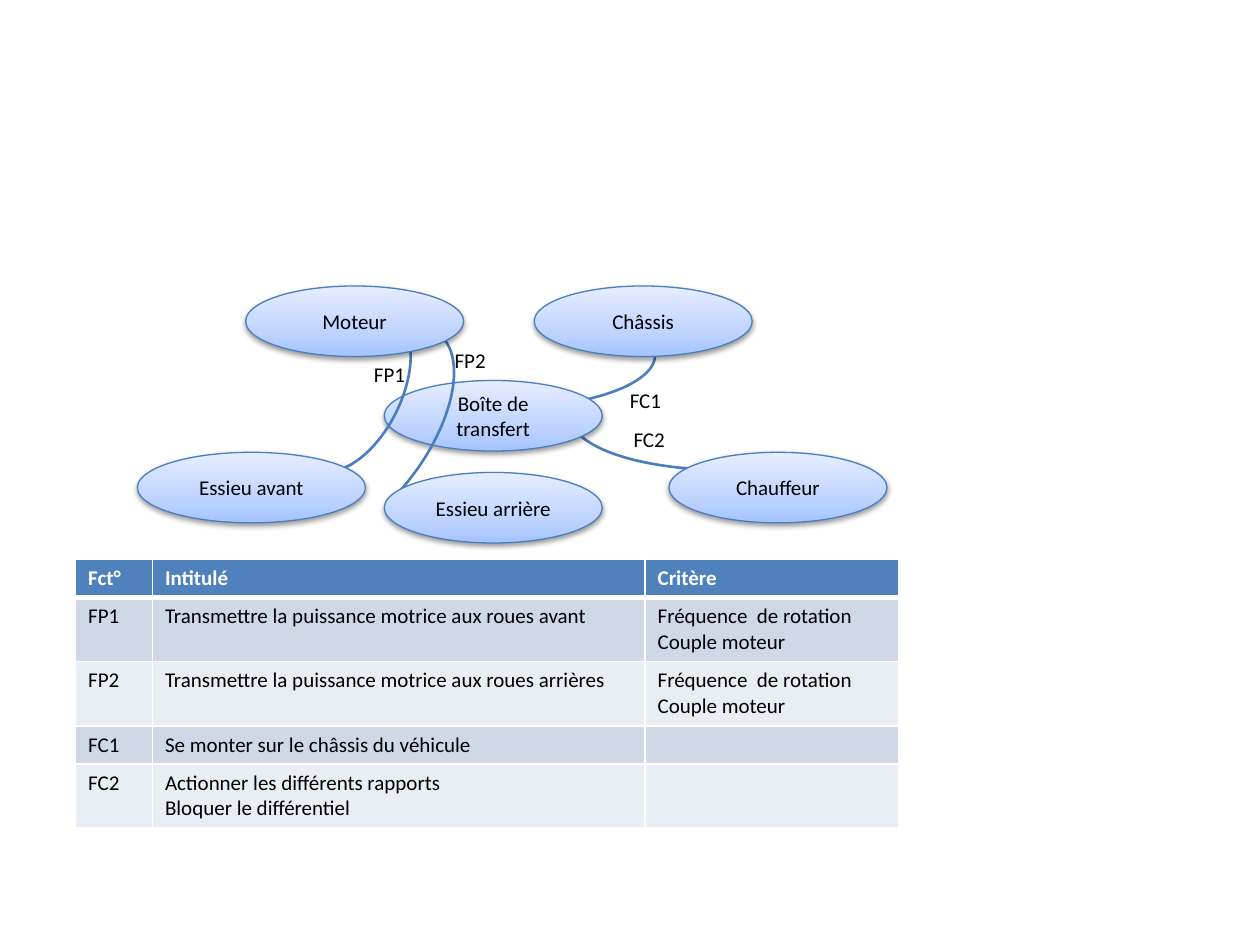
from lxml import etree
from pptx import Presentation
from pptx.dml.color import RGBColor
from pptx.enum.shapes import MSO_SHAPE
from pptx.enum.text import MSO_ANCHOR, MSO_AUTO_SIZE, PP_ALIGN
from pptx.oxml import parse_xml
from pptx.util import Inches, Pt

NAMESPACE = 'xmlns:a="http://schemas.openxmlformats.org/drawingml/2006/main"'
GRADIENT = f"""<a:gradFill {NAMESPACE} rotWithShape="1"><a:gsLst>
<a:gs pos="0"><a:srgbClr val="A4C4FF"/></a:gs>
<a:gs pos="35000"><a:srgbClr val="BFD4FF"/></a:gs>
<a:gs pos="100000"><a:srgbClr val="E6EEFF"/></a:gs>
</a:gsLst><a:lin ang="16200000" scaled="1"/></a:gradFill>"""
SHADOW = f"""<a:effectLst {NAMESPACE}>
<a:outerShdw blurRad="{Pt(3.1)}" dist="{Pt(1.6)}" dir="5400000" rotWithShape="0">
<a:srgbClr val="000000"><a:alpha val="38000"/></a:srgbClr></a:outerShdw></a:effectLst>"""
LINE_COLOR = "4B7EBC"


def color(hex_string):
    return RGBColor.from_string(hex_string)


def write(text_frame, text, text_color="000000", bold=False, alignment=PP_ALIGN.LEFT):
    text_frame.text = text
    for paragraph in text_frame.paragraphs:
        paragraph.alignment = alignment
        paragraph.font.name = "Calibri"
        paragraph.font.size = Pt(12)
        paragraph.font.bold = bold
        paragraph.font.color.rgb = color(text_color)


presentation = Presentation()
presentation.slide_width = Inches(10)
presentation.slide_height = Inches(7.5)
slide = presentation.slides.add_slide(presentation.slide_layouts[6])

# Table of functions
rows = [
    ("Fct°", "Intitulé", "Critère"),
    ("FP1", "Transmettre la puissance motrice aux roues avant",
     "Fréquence  de rotation\nCouple moteur"),
    ("FP2", "Transmettre la puissance motrice aux roues arrières",
     "Fréquence  de rotation\nCouple moteur"),
    ("FC1", "Se monter sur le châssis du véhicule", ""),
    ("FC2", "Actionner les différents rapports\nBloquer le différentiel", ""),
]
table = slide.shapes.add_table(
    len(rows), 3, Inches(0.6), Inches(4.44), Inches(6.53), Inches(2.1)).table
for column, width in zip(table.columns, (0.61, 3.91, 2.01)):
    column.width = Inches(width)
for row, height in zip(table.rows, (0.3, 0.5, 0.51, 0.3, 0.49)):
    row.height = Inches(height)
for row_index, texts in enumerate(rows):
    header = row_index == 0
    fill = "4F81BD" if header else ("E9EDF4", "D0D8E8")[row_index % 2]
    for column_index, text in enumerate(texts):
        cell = table.cell(row_index, column_index)
        properties = cell._tc.get_or_add_tcPr()
        for side in "LRTB":
            thick = (row_index, side) in ((0, "B"), (1, "T"))
            properties.append(parse_xml(
                f'<a:ln{side} {NAMESPACE} w="{Pt(3 if thick else 1)}"><a:solidFill>'
                f'<a:srgbClr val="FFFFFF"/></a:solidFill></a:ln{side}>'))
        cell.fill.solid()
        cell.fill.fore_color.rgb = color(fill)
        write(cell.text_frame, text, "FFFFFF" if header else "000000", header)

# Diagram, back to front: arcs (box, rotation, angles), ellipses and labels
diagram = [
    ("arc", (4.53, 2.89, 2.43, 0.84), 0, (48.95, 107.7)),
    ("arc", (2.77, 2.4, 2.43, 0.84), 0, (212.42, 24.29)),
    ("ellipse", (3.05, 3.02, 1.73), "Boîte de transfert"),
    ("arc", (1.92, 2.96, 1.97, 0.98), 305.7, (211.27, 72.06)),
    ("arc", (2.14, 2.75, 1.35, 0.73), 296.6, (211.27, 106.16)),
    ("ellipse", (1.95, 2.27, 1.73), "Moteur"),
    ("ellipse", (4.24, 2.27, 1.73), "Châssis"),
    ("label", (2.87, 2.82), "FP1"),
    ("label", (4.9, 3.03), "FC1"),
    ("label", (3.51, 2.71), "FP2"),
    ("ellipse", (3.05, 3.75, 1.73), "Essieu arrière"),
    ("ellipse", (1.09, 3.59, 1.81), "Essieu avant"),
    ("ellipse", (5.31, 3.59, 1.73), "Chauffeur"),
    ("label", (4.93, 3.34), "FC2"),
]
for kind, place, *details in diagram:
    box = [Inches(length) for length in place]
    if kind == "arc":
        rotation, angles = details
        arc = slide.shapes.add_shape(MSO_SHAPE.ARC, *box)
        arc.adjustments[0], arc.adjustments[1] = angles
        arc.rotation = rotation
        arc.shadow.inherit = False
        arc.fill.background()
        arc.line.color.rgb = color(LINE_COLOR)
        arc.line.width = Pt(1.5)
    elif kind == "ellipse":
        ellipse = slide.shapes.add_shape(MSO_SHAPE.OVAL, *box, Inches(0.56))
        ellipse.line.color.rgb = color(LINE_COLOR)
        ellipse.line.width = Pt(0.75)
        ellipse.line._ln.addprevious(parse_xml(GRADIENT))
        ellipse.line._ln.addnext(parse_xml(SHADOW))
        ellipse.text_frame.word_wrap = True
        ellipse.text_frame.vertical_anchor = MSO_ANCHOR.MIDDLE
        write(ellipse.text_frame, details[0], alignment=PP_ALIGN.CENTER)
    else:
        label = slide.shapes.add_textbox(*box, Inches(0.94), Inches(0.3))
        label.text_frame.word_wrap = True
        label.text_frame.auto_size = MSO_AUTO_SIZE.SHAPE_TO_FIT_TEXT
        write(label.text_frame, details[0])

presentation.save("out.pptx")
